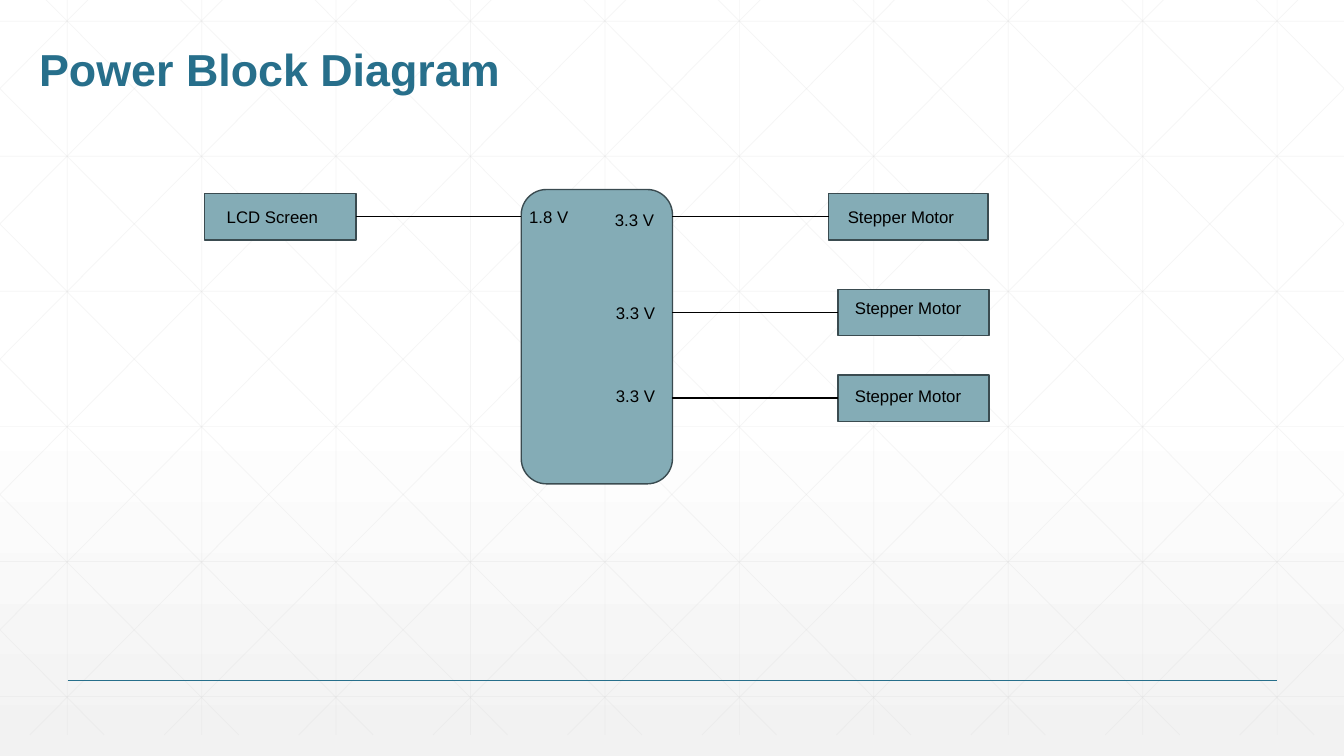
"""Build the power block diagram slide."""
import dataclasses
import typing

import lxml.etree
import pptx
import pptx.dml.color
import pptx.enum.shapes
import pptx.enum.text
import pptx.oxml.ns
import pptx.util

Inches = pptx.util.Inches
Kind = pptx.enum.shapes.MSO_SHAPE
Anchor = pptx.enum.text.MSO_ANCHOR
qn = pptx.oxml.ns.qn


@dataclasses.dataclass(frozen=True)
class Theme:
    font: str = "Arial"
    accent: str = "276F8B"
    block: str = "84ACB6"
    edge: str = "3A4B50"
    ink: str = "000000"
    grid: str = "D9D9D9"
    light: str = "FFFFFF"
    shade: str = "F2F2F2"
    title: int = 32
    body: int = 12


class Block(typing.NamedTuple):
    left: float
    top: float
    width: float
    height: float = 0.46
    kind: typing.Any = Kind.RECTANGLE


class Label(typing.NamedTuple):
    text: str
    left: float
    top: float
    width: float
    height: float = 0.3


class Line(typing.NamedTuple):
    x1: float
    y1: float
    x2: float
    y2: float


WIDE, HIGH = 13.33, 7.5
TOP, BASE = -0.21, 7.29
STEP = 4 / 3
SLOPE = 7.45 / 7.5
THEME = Theme()

HUB = Block(5.17, 1.88, 1.5, 2.92, Kind.FLOWCHART_ALTERNATE_PROCESS)
SCREEN = Block(2.03, 1.92, 1.5)
MOTORS = [Block(8.22, 1.92, 1.58), Block(8.31, 2.87, 1.5), Block(8.31, 3.72, 1.5)]
LABELS = [
    Label("3.3 V", 6, 2.03, 1.04),
    Label("1.8 V", 5.15, 2, 1.04),
    Label("LCD Screen", 2.15, 2, 1.15),
    Label("Stepper Motor", 8.31, 2, 1.35),
    Label("Stepper Motor", 8.38, 2.9, 1.35),
    Label("Stepper Motor", 8.38, 3.78, 1.35),
    Label("3.3 V", 6.01, 2.95, 1.04),
    Label("3.3 V", 6.01, 3.78, 1.04),
]


def tint(code: str) -> pptx.dml.color.RGBColor:
    return pptx.dml.color.RGBColor.from_string(code)


def apply(target: typing.Any, values: dict[str, typing.Any]) -> None:
    for name, value in values.items():
        setattr(target, name, value)


def draw_line(shapes: typing.Any, line: Line, color: str, width: float = 1,
              alpha: int = 100) -> typing.Any:
    ends = [Inches(value) for value in line]
    link = shapes.add_connector(pptx.enum.shapes.MSO_CONNECTOR.STRAIGHT, *ends)
    link.line.width = pptx.util.Pt(width)
    link.line.color.rgb = tint(color)
    props = link._element.spPr
    if alpha < 100:
        paint = next(props.iter(qn("a:srgbClr")))
        lxml.etree.SubElement(paint, qn("a:alpha"), val=str(alpha * 1000))
    lxml.etree.SubElement(props, qn("a:effectLst"))
    return link


def draw_block(shapes: typing.Any, block: Block) -> typing.Any:
    shape = shapes.add_shape(block.kind, *map(Inches, block[:4]))
    shape.shadow.inherit = False
    shape.fill.solid()
    shape.fill.fore_color.rgb = tint(THEME.block)
    shape.line.color.rgb = tint(THEME.edge)
    shape.line.width = pptx.util.Pt(1)
    return shape


def draw_label(shapes: typing.Any, label: Label, size: int, color: str,
               bold: bool = False, anchor: typing.Any = Anchor.TOP,
               space: float = 1.0) -> None:
    frame = shapes.add_textbox(*map(Inches, label[1:])).text_frame
    apply(frame, {"word_wrap": True, "vertical_anchor": anchor})
    para = frame.paragraphs[0]
    para.line_spacing = space
    run = para.add_run()
    run.text = label.text
    apply(run.font, {"name": THEME.font, "size": pptx.util.Pt(size), "bold": bold})
    run.font.color.rgb = tint(color)


def grid_lines() -> typing.Iterator[Line]:
    for col in range(10):
        x = STEP * (col + 0.5)
        yield Line(x, TOP, x, BASE)
    for row in range(6):
        y = 0.21 + 1.34 * row
        yield Line(0, y, WIDE, y)
    for rank in range(-5, 10):
        start = 0.25 + STEP * rank
        high = max(TOP, TOP - start / SLOPE)
        low = min(BASE, TOP + (WIDE - start) / SLOPE)
        x1, x2 = (start + SLOPE * (y - TOP) for y in (high, low))
        yield Line(x1, high, x2, low)
        yield Line(WIDE - x1, high, WIDE - x2, low)


def draw_back(page: typing.Any) -> None:
    fill = page.background.fill
    fill.gradient()
    fill.gradient_angle = 270
    stops = zip(fill.gradient_stops, (0.53, 1), (THEME.light, THEME.shade))
    for stop, place, color in stops:
        stop.position = place
        stop.color.rgb = tint(color)
    group = page.shapes.add_group_shape()
    for line in grid_lines():
        draw_line(group.shapes, line, THEME.grid, 0.5, 25)
    draw_line(page.shapes, Line(0.67, 6.75, 12.67, 6.75), THEME.accent)


def draw_power(shapes: typing.Any) -> None:
    draw_block(shapes, HUB)
    motors = [draw_block(shapes, motor) for motor in MOTORS]
    screen = draw_block(shapes, SCREEN)
    mid = SCREEN.top + SCREEN.height / 2
    feed = Line(SCREEN.left + SCREEN.width, mid, HUB.left, mid)
    draw_line(shapes, feed, THEME.ink).begin_connect(screen, 3)
    for motor, shape in zip(MOTORS, motors):
        mid = motor.top + motor.height / 2
        feed = Line(HUB.left + HUB.width, mid, motor.left, mid)
        draw_line(shapes, feed, THEME.ink).end_connect(shape, 1)
    for label in LABELS:
        draw_label(shapes, label, THEME.body, THEME.ink)


def main() -> None:
    deck = pptx.Presentation()
    apply(deck, {"slide_width": Inches(WIDE), "slide_height": Inches(HIGH)})
    page = deck.slides.add_slide(deck.slide_layouts[6])
    draw_back(page)
    title = Label("Power Block Diagram", 0.29, 0, 12, 1)
    draw_label(page.shapes, title, THEME.title, THEME.accent, True, Anchor.BOTTOM, 0.9)
    draw_power(page.shapes)
    deck.save("out.pptx")


if __name__ == "__main__":
    main()
